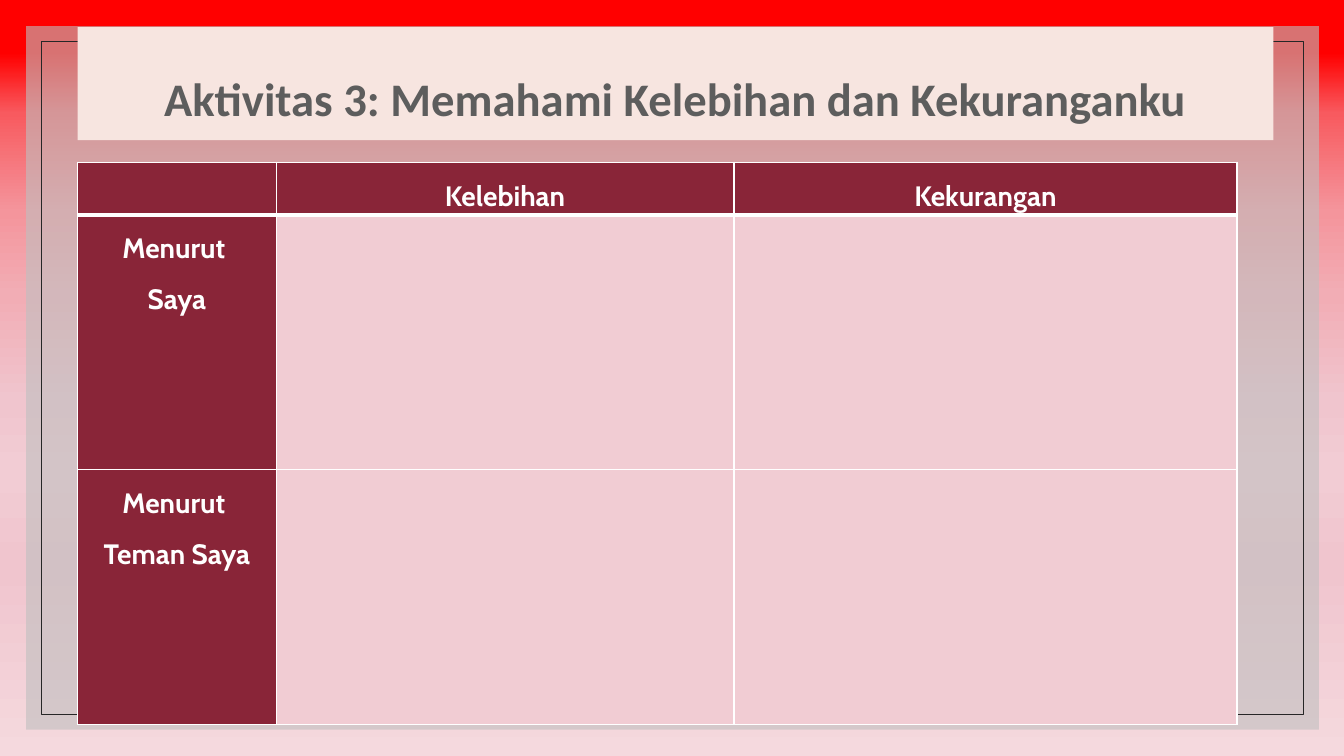
"""Builds the activity slide with a table of strengths and weaknesses."""
from lxml.etree import SubElement
from pptx import Presentation
from pptx.dml.color import RGBColor
from pptx.enum.shapes import MSO_SHAPE as Shape
from pptx.enum.text import MSO_ANCHOR as Anchor, PP_ALIGN as Align
from pptx.oxml.ns import qn
from pptx.util import Inches, Pt


def paint(color, value):
    color.rgb = RGBColor.from_string(value)


def write(frame, lines, font, size, value):
    for number, line in enumerate(lines):
        paragraph = frame.add_paragraph() if number else frame.paragraphs[0]
        paragraph.alignment = Align.CENTER
        paragraph.line_spacing = 1.5
        run = paragraph.add_run()
        run.text = line
        run.font.name = font
        run.font.size = Pt(size)
        run.font.bold = True
        paint(run.font.color, value)


deck = Presentation()
deck.slide_width = Inches(13.33)
deck.slide_height = Inches(7.5)
slide = deck.slides.add_slide(deck.slide_layouts[6])

backdrop = slide.background.fill
backdrop.gradient()
backdrop.gradient_angle = 270
stops = next(slide.element.iter(qn("a:gsLst")))
for stop in list(stops):
    stops.remove(stop)
for percent, value in [(7, "FF0000"), (15, "F85A5F"), (28, "F4959C"), (39, "F2ADB5"),
                       (53, "F0C5CE"), (62, "F2CCD4"), (75, "F0C5CE"), (100, "F5D9DE")]:
    stop = SubElement(stops, qn("a:gs"), pos=str(percent * 1000))
    SubElement(stop, qn("a:srgbClr"), val=value)

panel, frame_line, banner = [
    slide.shapes.add_shape(Shape.RECTANGLE, *map(Inches, place))
    for place in [(0.26, 0.26, 12.82, 6.98), (0.41, 0.41, 12.52, 6.68), (0.77, 0.27, 11.86, 1.12)]
]
for part in (panel, frame_line, banner):
    part.shadow.inherit = False

panel.fill.solid()
paint(panel.fill.fore_color, "BFBFBF")
tint = next(panel.fill._xPr.iter(qn("a:srgbClr")))
SubElement(tint, qn("a:alpha"), val="60000")
panel.line.fill.background()

frame_line.fill.background()
paint(frame_line.line.color, "262626")
frame_line.line.width = Pt(0.5)

banner.fill.solid()
paint(banner.fill.fore_color, "F7E5E0")
banner.line.fill.background()
banner.text_frame.word_wrap = True
banner.text_frame.vertical_anchor = Anchor.MIDDLE
write(banner.text_frame, ["Aktivitas 3: Memahami Kelebihan dan Kekuranganku"],
      "Calibri", 33.3, "5D5D5D")

rows = [
    [[], ["Kelebihan"], ["Kekurangan"]],
    [["Menurut ", "Saya"], [], []],
    [["Menurut ", "Teman Saya"], [], []],
]
widths = [1.97, 4.54, 4.99]
heights = [0.52, 2.53, 2.53]
table = slide.shapes.add_table(3, 3, Inches(0.77), Inches(1.61),
                               Inches(sum(widths)), Inches(sum(heights))).table
for column, width in zip(table.columns, widths):
    column.width = Inches(width)
for row, height in zip(table.rows, heights):
    row.height = Inches(height)

for r, row in enumerate(rows):
    for c, lines in enumerate(row):
        cell = table.cell(r, c)
        properties = cell._tc.get_or_add_tcPr()
        for side in "LRTB":
            thick = (r == 0 and side == "B") or (r == 1 and side == "T")
            border = SubElement(properties, qn("a:ln" + side), w=str(Pt(3 if thick else 1)))
            SubElement(SubElement(border, qn("a:solidFill")), qn("a:srgbClr"), val="FFFFFF")
        cell.fill.solid()
        paint(cell.fill.fore_color, "892538" if r == 0 or c == 0 else "F1CCD3")
        cell.margin_left = cell.margin_right = Inches(0.07)
        cell.margin_top = cell.margin_bottom = 0
        write(cell.text_frame, lines, "Cabin", 20, "FFFFFF")

deck.save("out.pptx")
